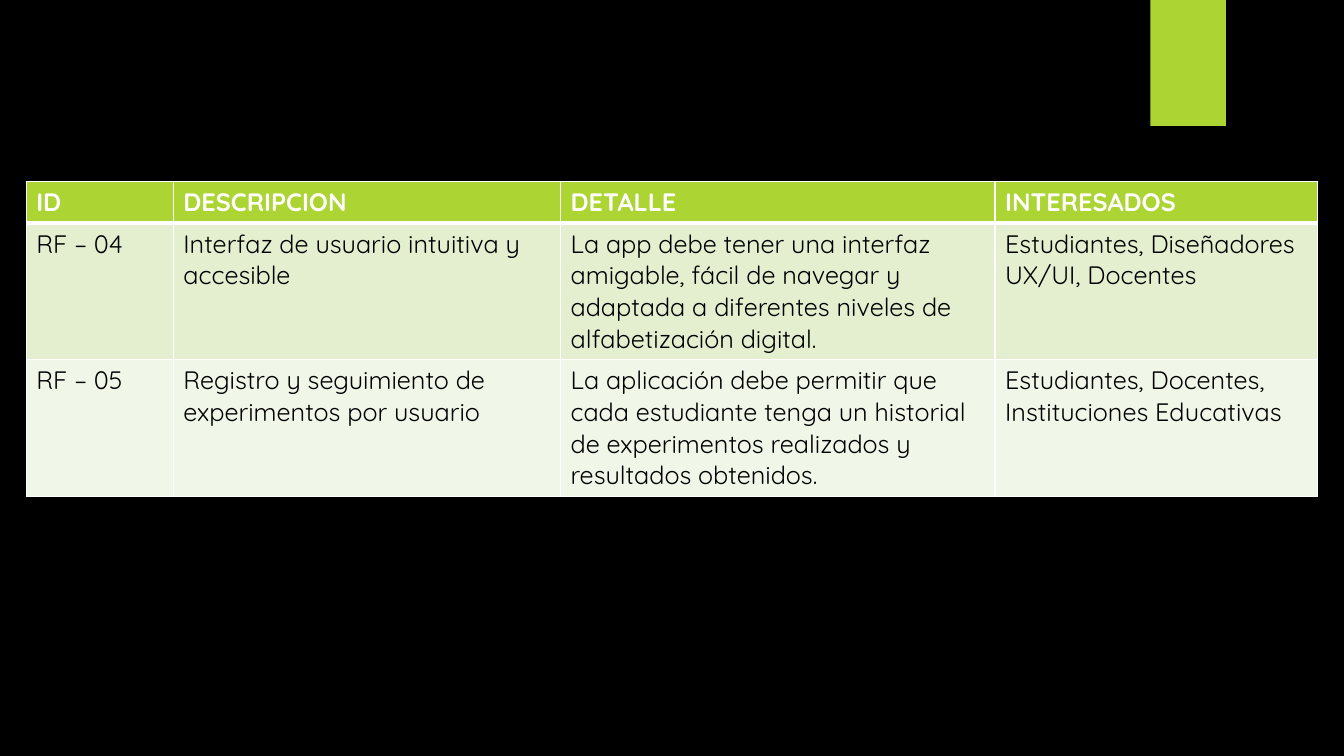
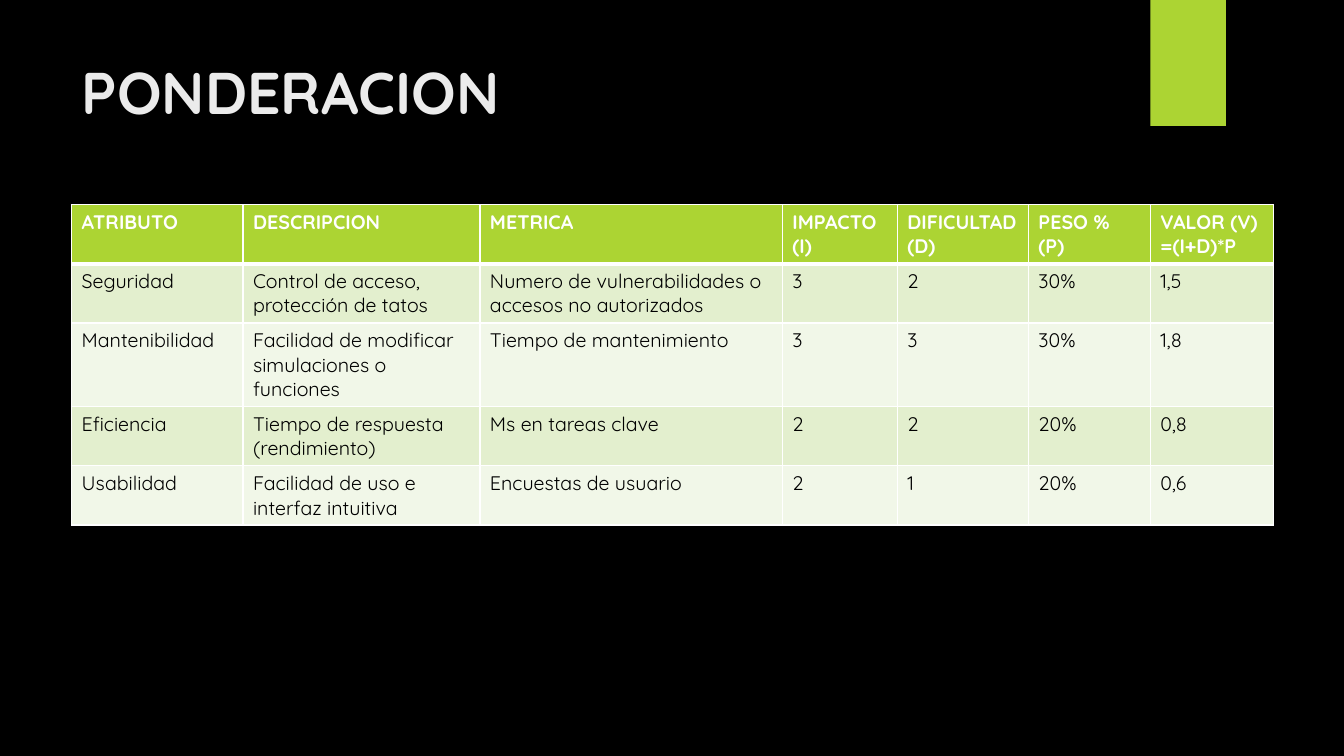
from lxml import etree
from pptx import Presentation
from pptx import util as u
from pptx.dml.color import RGBColor
from pptx.enum import shapes, text
from pptx.oxml.ns import qn

PX = 9144  # EMU in one px, 100 px to the inch
SLIDE_SIZE = (1333, 750)
BAND_BOX = (1141, 0, 75, 125)
TITLE_BOX = (71, 50, 1029, 153)
TITLE_ONLY, BLANK = 5, 6

BLACK, WHITE, LIME = "000000", "FFFFFF", "ACD433"
ROW_FILLS = ("E3EFCE", "F1F7E8")
FONT = "Quicksand"
TITLE_FONT = {"name": FONT, "size": u.Pt(42), "bold": True}

REQUIREMENTS = [
    ("ID", "DESCRIPCION", "DETALLE", "INTERESADOS"),
    ("RF – 04", "Interfaz de usuario intuitiva y accesible",
     "La app debe tener una interfaz amigable, fácil de navegar y adaptada "
     "a diferentes niveles de alfabetización digital.",
     "Estudiantes, Diseñadores UX/UI, Docentes"),
    ("RF – 05", "Registro y seguimiento de experimentos por usuario",
     "La aplicación debe permitir que cada estudiante tenga un historial "
     "de experimentos realizados y resultados obtenidos.",
     "Estudiantes, Docentes, Instituciones Educativas"),
]
WEIGHTING = [
    ("ATRIBUTO", "DESCRIPCION", "METRICA", "IMPACTO (I)", "DIFICULTAD (D)",
     "PESO % (P)", "VALOR (V) =(I+D)*P"),
    ("Seguridad", "Control de acceso, protección de tatos",
     "Numero de vulnerabilidades o accesos no autorizados",
     "3", "2", "30%", "1,5"),
    ("Mantenibilidad", "Facilidad de modificar simulaciones o funciones",
     "Tiempo de mantenimiento", "3", "3", "30%", "1,8"),
    ("Eficiencia", "Tiempo de respuesta (rendimiento)",
     "Ms en tareas clave", "2", "2", "20%", "0,8"),
    ("Usabilidad", "Facilidad de uso e interfaz intuitiva",
     "Encuestas de usuario", "2", "1", "20%", "0,6"),
]


def px(length):
    return u.Emu(length * PX)


def color(value):
    return RGBColor.from_string(value)


def paint(fill, value):
    fill.solid()
    fill.fore_color.rgb = color(value)


def style(font, formats, value):
    for name, setting in formats.items():
        setattr(font, name, setting)
    font.color.rgb = color(value)


def add_page(deck, layout):
    """Add a slide with the lime band that all slides share."""
    page = deck.slides.add_slide(deck.slide_layouts[layout])
    for placeholder in list(page.placeholders):
        if placeholder != page.shapes.title:
            placeholder.element.getparent().remove(placeholder.element)
    band = page.shapes.add_shape(shapes.MSO_SHAPE.RECTANGLE, *map(px, BAND_BOX))
    band.shadow.inherit = False
    paint(band.fill, LIME)
    band.line.fill.background()
    return page


def set_title(page, wording):
    title = page.shapes.title
    title.left, title.top, title.width, title.height = map(px, TITLE_BOX)
    frame = title.text_frame
    frame.text = wording
    frame.vertical_anchor = text.MSO_ANCHOR.TOP
    para = frame.paragraphs[0]
    para.alignment = text.PP_ALIGN.LEFT
    style(para.runs[0].font, TITLE_FONT, "EBEBEB")


def set_borders(cell, row):
    """Draw white borders, with a thick rule under the header row."""
    widths = {"lnL": 1, "lnR": 1, "lnT": 3 if row == 1 else 1,
              "lnB": 3 if row == 0 else 1}
    properties = cell._tc.get_or_add_tcPr()
    for side, points in widths.items():
        line = etree.SubElement(properties, qn(f"a:{side}"), w=str(u.Pt(points)))
        fill = etree.SubElement(line, qn("a:solidFill"))
        etree.SubElement(fill, qn("a:srgbClr"), val=WHITE)


def add_grid(page, left, top, widths, heights, rows, size):
    box = map(px, (left, top, sum(widths), sum(heights)))
    table = page.shapes.add_table(len(rows), len(widths), *box).table
    for column, width in zip(table.columns, widths):
        column.width = px(width)
    for index, (row, height, wordings) in enumerate(zip(table.rows, heights, rows)):
        row.height = px(height)
        header = index == 0
        formats = {"name": FONT, "size": u.Pt(size), "bold": header}
        for cell, wording in zip(row.cells, wordings):
            set_borders(cell, index)
            paint(cell.fill, LIME if header else ROW_FILLS[(index - 1) % 2])
            cell.text = wording
            span = cell.text_frame.paragraphs[0].runs[0]
            style(span.font, formats, WHITE if header else BLACK)


def add_requirements(deck):
    page = add_page(deck, BLANK)
    add_grid(page, 26, 180, (146, 384, 431, 320), (41, 135, 135),
             REQUIREMENTS, 18)


def add_weighting(deck):
    page = add_page(deck, TITLE_ONLY)
    set_title(page, "PONDERACION")
    add_grid(page, 71, 203, (170, 235, 300, 114, 130, 121, 122),
             (58, 58, 83, 58, 58), WEIGHTING, 14)


def main():
    deck = Presentation()
    deck.slide_width, deck.slide_height = map(px, SLIDE_SIZE)
    paint(deck.slide_master.background.fill, BLACK)
    add_requirements(deck)
    add_weighting(deck)
    deck.save("out.pptx")


if __name__ == "__main__":
    main()
